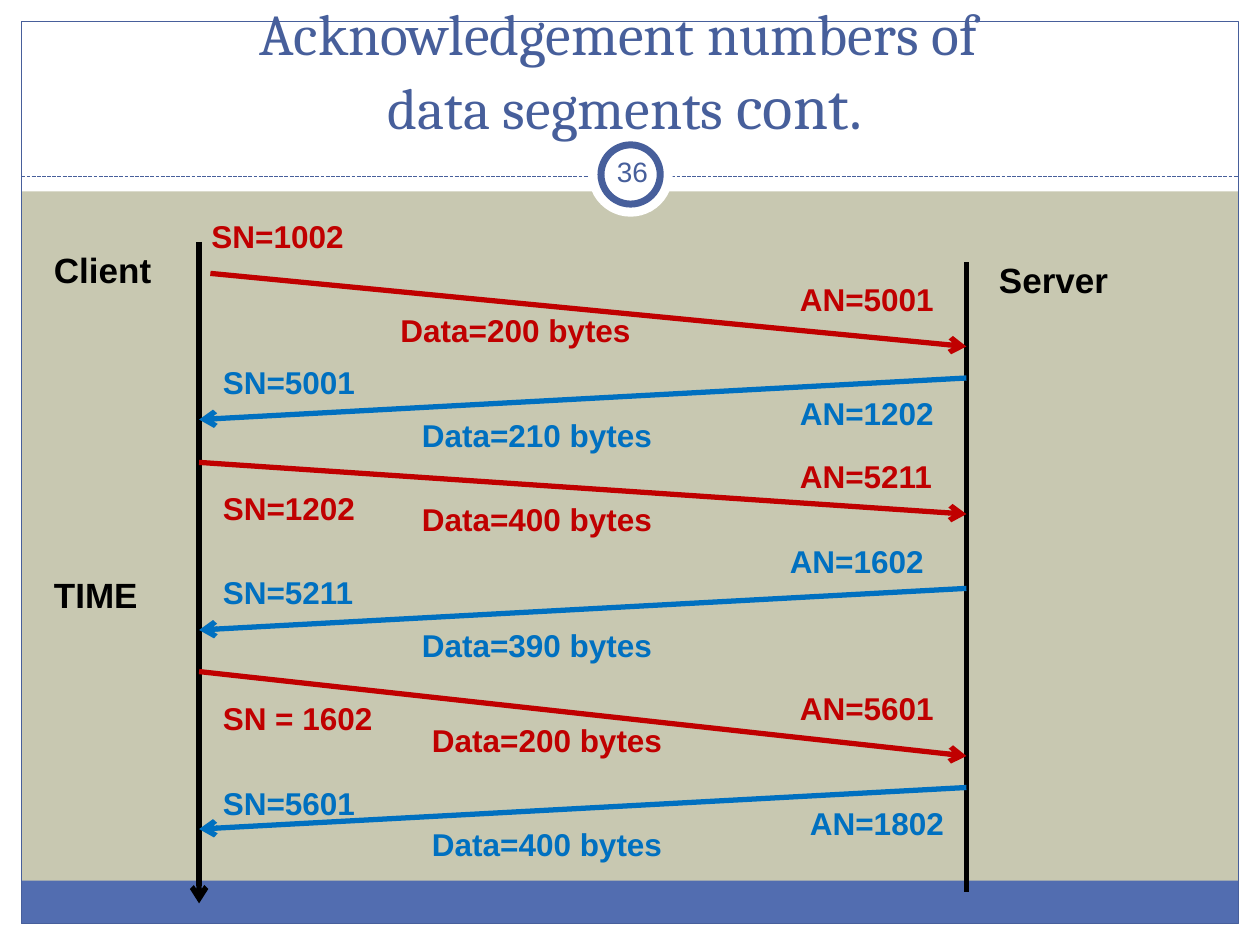
from dataclasses import dataclass

from lxml import etree
from pptx import Presentation
from pptx.dml.color import RGBColor
from pptx.enum.dml import MSO_LINE
from pptx.enum.shapes import MSO_CONNECTOR, MSO_SHAPE
from pptx.enum.text import MSO_ANCHOR, MSO_AUTO_SIZE, PP_ALIGN
from pptx.oxml.ns import qn
from pptx.util import Inches, Pt

RECT, OVAL = MSO_SHAPE.RECTANGLE, MSO_SHAPE.OVAL
STRAIGHT = MSO_CONNECTOR.STRAIGHT
DASH = MSO_LINE.SQUARE_DOT
CENTER = PP_ALIGN.CENTER
MIDDLE, BOTTOM = MSO_ANCHOR.MIDDLE, MSO_ANCHOR.BOTTOM
FIXED = MSO_AUTO_SIZE.NONE


@dataclass(frozen=True)
class Theme:
    ground: str = "C8C8B1"
    white: str = "FFFFFF"
    band: str = "526DB0"
    accent: str = "475F9B"
    ink: str = "000000"
    client: str = "C00000"
    server: str = "0070C0"
    serif: str = "Cambria"
    sans: str = "Arial"
    title: int = 33
    large: int = 36
    name: int = 20
    label: int = 18
    number: int = 16
    thin: float = 0.75
    ring: int = 4
    thick: int = 3


THEME = Theme()

# Offsets in inches from the ladder's corner: sender, start x, y at start and
# end, then the text, x and y of the sequence, data and acknowledgement labels.
MESSAGES = [
    ("client", 0.09, 0.5, 1.08, ("SN=1002", 0, 0),
     ("Data=200 bytes", 1.5, 0.75), ("AN=5001", 4.67, 0.5)),
    ("server", 0, 1.33, 1.66, ("SN=5001", 0.09, 1.16),
     ("Data=210 bytes", 1.67, 1.58), ("AN=1202", 4.67, 1.41)),
    ("client", 0, 2, 2.41, ("SN=1202", 0.09, 2.16),
     ("Data=400 bytes", 1.67, 2.25), ("AN=5211", 4.67, 1.91)),
    ("server", 0, 3, 3.33, ("SN=5211", 0.09, 2.83),
     ("Data=390 bytes", 1.67, 3.25), ("AN=1602", 4.59, 2.58)),
    ("client", 0, 3.66, 4.33, ("SN = 1602", 0.09, 3.83),
     ("Data=200 bytes", 1.75, 4), ("AN=5601", 4.67, 3.75)),
    ("server", 0, 4.58, 4.91, ("SN=5601", 0.09, 4.5),
     ("Data=400 bytes", 1.75, 4.83), ("AN=1802", 4.75, 4.66)),
]
WIDTHS = (1.5, 2.17, 1.33)
NAMES = [("Client", -1.25, 0.25), ("TIME", -1.25, 2.83), ("Server", 6.25, 0.33)]


def tint(code):
    return RGBColor.from_string(code)


def style(run, size, color, face, bold=False):
    run.font.size, run.font.name, run.font.bold = Pt(size), face, bold
    run.font.color.rgb = tint(color)


def panel(slide, kind, box, fill=None, edge=None, width=THEME.thin):
    shape = slide.shapes.add_shape(kind, *map(Inches, box))
    shape.shadow.inherit = False
    if fill:
        shape.fill.solid()
        shape.fill.fore_color.rgb = tint(fill)
    else:
        shape.fill.background()
    if edge:
        shape.line.color.rgb = tint(edge)
        shape.line.width = Pt(width)
    else:
        shape.line.fill.background()


def stroke(slide, start, end, color, width=THEME.thick, arrow=False, dash=None):
    line = slide.shapes.add_connector(STRAIGHT, *map(Inches, (*start, *end)))
    line.line.color.rgb = tint(color)
    line.line.width = Pt(width)
    if dash:
        line.line.dash_style = dash
    props = line.element.spPr
    if arrow:
        etree.SubElement(props.find(qn("a:ln")), qn("a:tailEnd"), type="arrow")
    etree.SubElement(props, qn("a:effectLst"))


def label(slide, text, box, size, color, bold=True):
    frame = slide.shapes.add_textbox(*map(Inches, box)).text_frame
    frame.word_wrap = True
    frame.text = text
    style(frame.paragraphs[0].runs[0], size, color, THEME.sans, bold)
    return frame


def backdrop(slide, box):
    """Draw the margins, the foot band, the border and the title rule."""
    x, y, w, h = box
    rim = 0.17
    slide.background.fill.solid()
    slide.background.fill.fore_color.rgb = tint(THEME.ground)
    for part in ((x, y + h - rim, w, rim), (x, y, w, 1.52),
                 (x, y, rim, h), (x + w - rim, y, rim, h)):
        panel(slide, RECT, part, THEME.white)
    inner = w - 2 * rim
    panel(slide, RECT, (x + rim, y + 6.99, inner, 0.34), THEME.band)
    panel(slide, RECT, (x + rim, y + rim, inner, h - 2 * rim), edge=THEME.accent)
    stroke(slide, (x + rim, y + 1.4), (x + w - rim, y + 1.4), THEME.accent,
           THEME.thin, dash=DASH)


def badge(slide, box, text):
    """Draw the ringed slide number."""
    x, y, w, h = box
    gap = 0.1
    panel(slide, OVAL, box, THEME.white)
    panel(slide, OVAL, (x + gap, y + gap, w - 2 * gap, h - 2 * gap),
          THEME.white, THEME.accent, THEME.ring)
    frame = label(slide, text, (x + gap, y + 0.07, 0.5, 0.48),
                  THEME.number, THEME.accent, False)
    frame.margin_left = frame.margin_right = Inches(0.05)
    frame.vertical_anchor = MIDDLE
    frame.paragraphs[0].alignment = CENTER


def heading(slide, box):
    title = slide.shapes.title
    title.left, title.top, title.width, title.height = map(Inches, box)
    tree = title.element.getparent()
    tree.append(title.element)  # bring in front of the backdrop
    frame = title.text_frame
    frame.word_wrap, frame.auto_size = True, FIXED
    frame.vertical_anchor = BOTTOM
    frame.text = "Acknowledgement numbers of \vdata segments "
    para = frame.paragraphs[0]
    para.alignment = CENTER
    for run in para.runs:
        style(run, THEME.title, THEME.accent, THEME.serif)
    last = para.add_run()
    last.text = "cont."
    style(last, THEME.large, THEME.accent, THEME.serif)


def ladder(slide, box):
    """Draw both time lines and the messages between them."""
    x, y, w, h = box
    stroke(slide, (x, y + 0.25), (x, y + h), THEME.ink, arrow=True)
    stroke(slide, (x + w, y + 0.41), (x + w, y + 5.41), THEME.ink)
    for text, dx, dy in NAMES:
        label(slide, text, (x + dx, y + dy, 1.3, 0.44), THEME.name, THEME.ink)
    for sender, inset, top, end, *notes in MESSAGES:
        color = getattr(THEME, sender)
        left, right = x + inset, x + w
        if sender == "server":
            left, right = right, left
        stroke(slide, (left, y + top), (right, y + end), color, arrow=True)
        for (text, dx, dy), width in zip(notes, WIDTHS):
            label(slide, text, (x + dx, y + dy, width, 0.4), THEME.label, color)


def main():
    deck = Presentation()
    deck.slide_width, deck.slide_height = Inches(10), Inches(7.5)
    slide = deck.slides.add_slide(deck.slide_layouts[5])
    backdrop(slide, (0, 0, 10, 7.5))
    heading(slide, (0.67, 0.33, 8.58, 0.85))
    badge(slide, (4.67, 1.05, 0.67, 0.67), "36")
    ladder(slide, (1.58, 1.67, 6.09, 5.5))
    deck.save("out.pptx")


if __name__ == "__main__":
    main()
